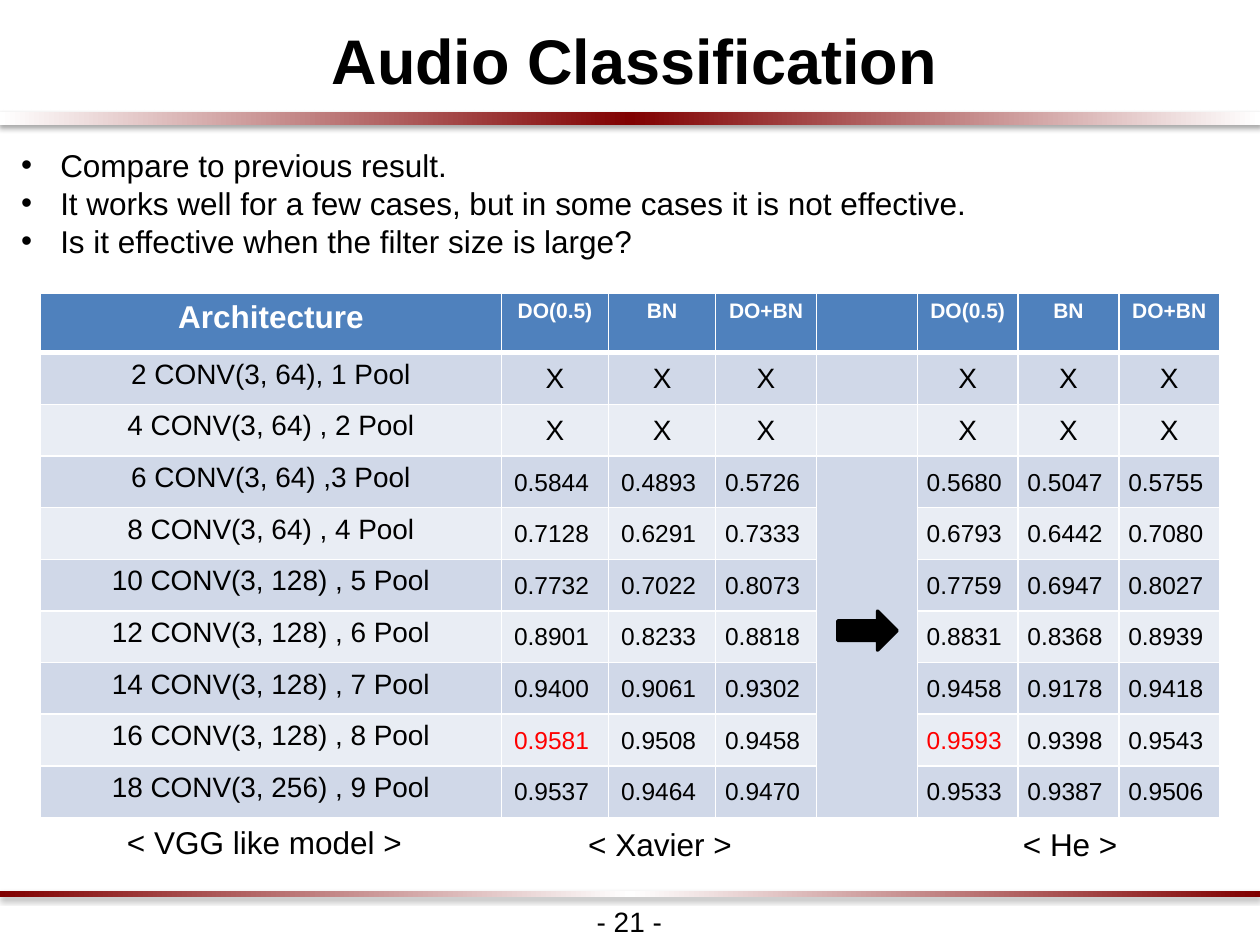
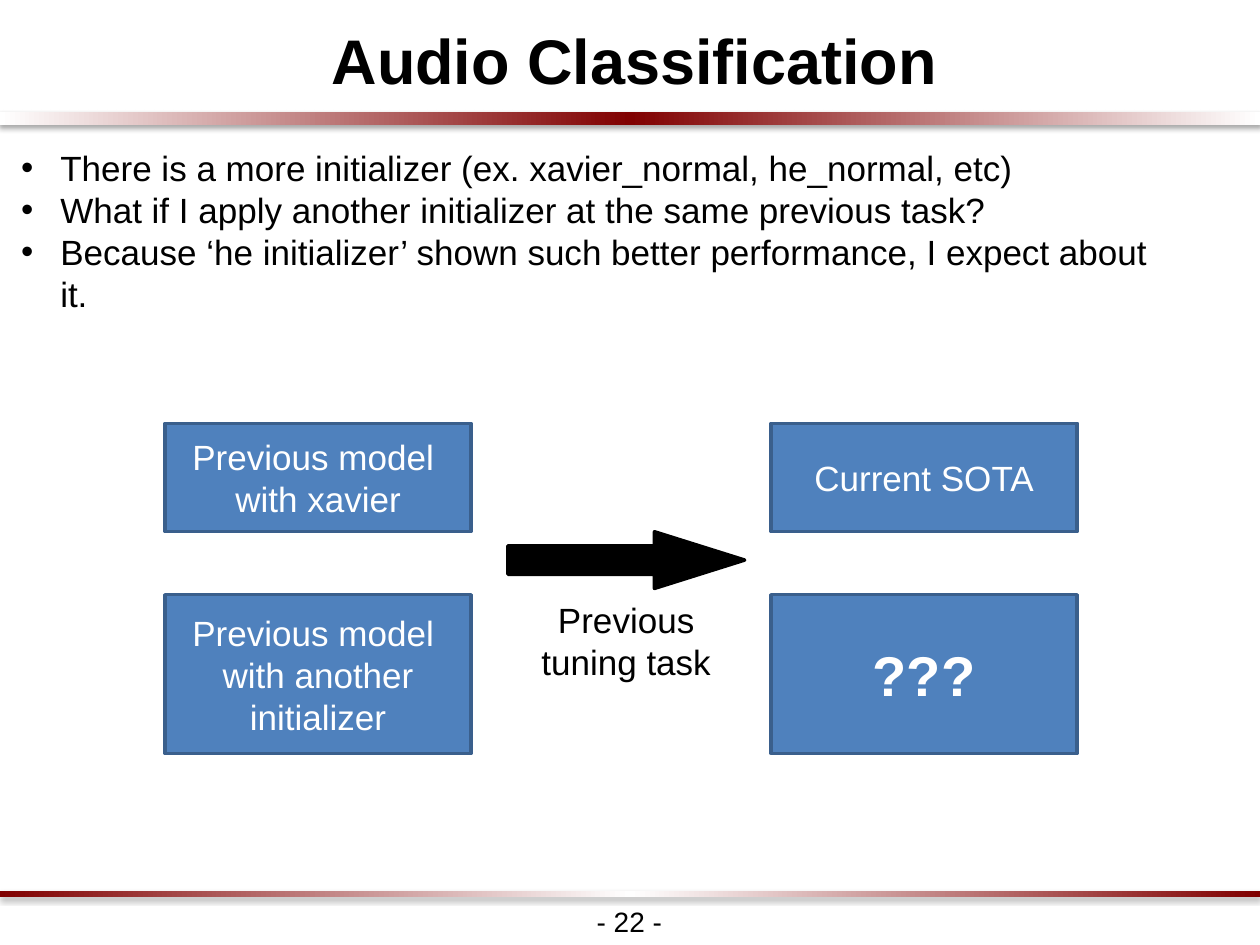
from copy import deepcopy
from dataclasses import dataclass
from typing import NamedTuple

from lxml.etree import SubElement
from pptx import Presentation
from pptx.dml.color import RGBColor
from pptx.enum.shapes import MSO_SHAPE as Preset
from pptx.enum.text import MSO_ANCHOR as Anchor, PP_ALIGN as Align
from pptx.oxml.ns import qn
from pptx.util import Inches, Pt


@dataclass(frozen=True)
class Theme:
    font: str = "Arial"
    black: str = "000000"
    white: str = "FFFFFF"
    maroon: str = "800000"
    blue: str = "4F81BD"
    blue_outline: str = "3A5F8C"
    row_dark: str = "D0D8E8"
    row_light: str = "E9EDF4"
    highlight: str = "FF0000"
    title: int = 36
    question: int = 32
    large: int = 20
    body: int = 18
    label: int = 16
    value: int = 14
    column_head: int = 12


THEME = Theme()


class Area(NamedTuple):
    left: float
    top: float
    width: float
    height: float

    def lengths(self) -> list:
        return [Inches(value) for value in self]


class Band(NamedTuple):
    area: Area
    edge: str
    middle: str


class Caption(NamedTuple):
    area: Area
    text: str


class Box(NamedTuple):
    area: Area
    lines: list
    size: int = THEME.large
    bold: bool = False


class Result(NamedTuple):
    architecture: str
    xavier: tuple
    he: tuple


BANDS = [
    Band(Area(0, 0.89, 10, 0.1), THEME.white, THEME.maroon),
    Band(Area(0, 7.07, 10, 0.05), THEME.maroon, THEME.white),
]
UNTESTED = ("X", "X", "X")
RESULTS = [
    Result("2 CONV(3, 64), 1 Pool", UNTESTED, UNTESTED),
    Result("4 CONV(3, 64) , 2 Pool", UNTESTED, UNTESTED),
    Result("6 CONV(3, 64) ,3 Pool", (0.5844, 0.4893, 0.5726), (0.5680, 0.5047, 0.5755)),
    Result("8 CONV(3, 64) , 4 Pool", (0.7128, 0.6291, 0.7333), (0.6793, 0.6442, 0.7080)),
    Result("10 CONV(3, 128) , 5 Pool", (0.7732, 0.7022, 0.8073), (0.7759, 0.6947, 0.8027)),
    Result("12 CONV(3, 128) , 6 Pool", (0.8901, 0.8233, 0.8818), (0.8831, 0.8368, 0.8939)),
    Result("14 CONV(3, 128) , 7 Pool", (0.9400, 0.9061, 0.9302), (0.9458, 0.9178, 0.9418)),
    Result("16 CONV(3, 128) , 8 Pool", (0.9581, 0.9508, 0.9458), (0.9593, 0.9398, 0.9543)),
    Result("18 CONV(3, 256) , 9 Pool", (0.9537, 0.9464, 0.9470), (0.9533, 0.9387, 0.9506)),
]
METHODS = ["DO(0.5)", "BN", "DO+BN"]
COLUMN_WIDTHS = [3.66, 0.85, 0.85] + [0.8] * 5
HEADER_HEIGHT, ROW_HEIGHT = 0.47, 0.41
ARROW_COLUMN, FIRST_MERGED_ROW = 4, 3
CAPTIONS = [
    Caption(Area(0.91, 6.48, 2.4, 0.4), "< VGG like model >"),
    Caption(Area(4.57, 6.5, 1.35, 0.4), "< Xavier >"),
    Caption(Area(8.02, 6.5, 0.96, 0.4), "< He >"),
]
BOX_LEFTS, BOX_WIDTH = (1.31, 6.12), 2.43
UPPER = [Area(left, 3.36, BOX_WIDTH, 0.86) for left in BOX_LEFTS]
LOWER = [Area(left, 4.72, BOX_WIDTH, 1.26) for left in BOX_LEFTS]
BOXES = [
    Box(UPPER[0], ["Previous model ", "with xavier"]),
    Box(UPPER[1], ["Current SOTA"]),
    Box(LOWER[0], ["Previous model ", "with another initializer"]),
    Box(LOWER[1], ["???"], THEME.question, True),
]


def rgb(color: str) -> RGBColor:
    return RGBColor.from_string(color)


def write_text(frame, lines: list, *, size: int, color: str = THEME.black, bold: bool = False,
               align: Align = Align.LEFT, spacing: float | None = None,
               margin: float = 0, bullet: bool = False) -> None:
    for index, line in enumerate(lines):
        paragraph = frame.add_paragraph() if index else frame.paragraphs[0]
        paragraph.alignment = align
        if spacing:
            paragraph.line_spacing = spacing
        properties = paragraph._p.get_or_add_pPr()
        if margin:
            properties.set("marL", str(Inches(margin)))
        if bullet:
            properties.set("indent", str(Inches(-margin)))
            bullet_color = SubElement(properties, qn("a:buClr"))
            SubElement(bullet_color, qn("a:srgbClr"), val=THEME.black)
            SubElement(properties, qn("a:buFont"), typeface=THEME.font)
            SubElement(properties, qn("a:buChar"), char="•")
        run = paragraph.add_run()
        run.text = line
        run.font.name = THEME.font
        run.font.size = Pt(size)
        run.font.bold = bold
        run.font.color.rgb = rgb(color)


def add_text(slide, area: Area, lines: list, *, wrap: bool = True, inset: float = 0.05,
             anchor: Anchor = Anchor.TOP, **text_format) -> None:
    frame = slide.shapes.add_textbox(*area.lengths()).text_frame
    frame.word_wrap = wrap
    frame.vertical_anchor = anchor
    frame.margin_top = frame.margin_bottom = Inches(inset)
    write_text(frame, lines, **text_format)


def add_preset(slide, preset: Preset, area: Area, fill: str, outline: str):
    shape = slide.shapes.add_shape(preset, *area.lengths())
    shape.shadow.inherit = False
    shape.fill.solid()
    shape.fill.fore_color.rgb = rgb(fill)
    shape.line.color.rgb = rgb(outline)
    shape.line.width = Pt(2)
    return shape


def add_arrow(slide, area: Area):
    return add_preset(slide, Preset.RIGHT_ARROW, area, THEME.black, THEME.black)


def add_box(slide, box: Box) -> None:
    shape = add_preset(slide, Preset.RECTANGLE, box.area, THEME.blue, THEME.blue_outline)
    frame = shape.text_frame
    frame.word_wrap = True
    frame.vertical_anchor = Anchor.MIDDLE
    write_text(frame, box.lines, size=box.size, bold=box.bold, color=THEME.white, align=Align.CENTER)


def add_band(slide, band: Band) -> None:
    shape = slide.shapes.add_shape(Preset.RECTANGLE, *band.area.lengths())
    shape.line.fill.background()
    shape.shadow.inherit = False
    shape.fill.gradient()
    shape.fill.gradient_angle = 0
    properties = shape._element.spPr
    stops = properties.find(".//" + qn("a:gsLst"))
    stops.append(deepcopy(stops[0]))
    colors = (band.edge, band.middle, band.edge)
    for stop, position, color in zip(shape.fill.gradient_stops, (0, 0.5, 1), colors):
        stop.position = position
        stop.color.rgb = rgb(color)
    shadow = SubElement(properties.find(qn("a:effectLst")), qn("a:outerShdw"),
                        blurRad=str(Pt(3.1)), dist=str(Pt(1.8)), dir="5400000", rotWithShape="0")
    shadow_color = SubElement(shadow, qn("a:srgbClr"), val=THEME.black)
    SubElement(shadow_color, qn("a:alpha"), val="35000")


def add_base_slide(presentation, number: int, bullets: list, size: int, height: float):
    slide = presentation.slides.add_slide(presentation.slide_layouts[6])
    for band in BANDS:
        add_band(slide, band)
    add_text(slide, Area(-0.23, 0.03, 10.45, 0.79), ["Audio Classification"], inset=0.1,
             anchor=Anchor.MIDDLE, size=THEME.title, bold=True, align=Align.CENTER,
             spacing=1.15, margin=0.08)
    add_text(slide, Area(0.07, 1.11, 9.42, height), bullets, size=size, margin=0.31, bullet=True)
    add_text(slide, Area(3.83, 7.13, 2.33, 0.37), [f"- {number} -"], size=THEME.label,
             align=Align.CENTER)
    return slide


def style_cell(cell, fill: str, top: int, bottom: int) -> None:
    properties = cell._tc.get_or_add_tcPr()
    for side, width in (("L", 1), ("R", 1), ("T", top), ("B", bottom)):
        border = SubElement(properties, qn(f"a:ln{side}"), w=str(Pt(width)))
        border_fill = SubElement(border, qn("a:solidFill"))
        SubElement(border_fill, qn("a:srgbClr"), val=THEME.white)
    cell.fill.solid()
    cell.fill.fore_color.rgb = rgb(fill)


def write_result(cell, value: float | str, best: bool) -> None:
    cell.vertical_anchor = Anchor.MIDDLE
    cell.margin_left = cell.margin_right = cell.margin_top = Inches(0.01)
    cell.margin_bottom = 0
    measured = isinstance(value, float)
    write_text(cell.text_frame, [f"{value:.4f} " if measured else value],
               size=THEME.value if measured else THEME.label,
               color=THEME.highlight if best else THEME.black, align=Align.CENTER)


def add_results_table(slide) -> None:
    area = Area(0.32, 2.33, sum(COLUMN_WIDTHS), HEADER_HEIGHT + ROW_HEIGHT * len(RESULTS))
    table = slide.shapes.add_table(len(RESULTS) + 1, len(COLUMN_WIDTHS), *area.lengths()).table
    for column, width in zip(table.columns, COLUMN_WIDTHS):
        column.width = Inches(width)
    for index, row in enumerate(table.rows):
        row.height = Inches(ROW_HEIGHT if index else HEADER_HEIGHT)
        stripe = THEME.row_dark if index % 2 else THEME.row_light
        for cell in row.cells:
            style_cell(cell, stripe if index else THEME.blue,
                       3 if index == 1 else 1, 1 if index else 3)

    for column, heading in enumerate(["Architecture", *METHODS, "", *METHODS]):
        if heading:
            write_text(table.cell(0, column).text_frame, [heading],
                       size=THEME.column_head if column else THEME.body,
                       color=THEME.white, bold=True, align=Align.CENTER)
    measured = [result for result in RESULTS if result.xavier != UNTESTED]
    best_xavier = max(max(result.xavier) for result in measured)
    best_he = max(max(result.he) for result in measured)
    for row, result in enumerate(RESULTS, 1):
        write_text(table.cell(row, 0).text_frame, [result.architecture],
                   size=THEME.label, align=Align.CENTER)
        for start, values, best in ((1, result.xavier, best_xavier),
                                    (ARROW_COLUMN + 1, result.he, best_he)):
            for column, value in enumerate(values, start):
                write_result(table.cell(row, column), value, value == best)
    table.cell(FIRST_MERGED_ROW, ARROW_COLUMN).merge(table.cell(len(RESULTS), ARROW_COLUMN))


def build_comparison(presentation) -> None:
    slide = add_base_slide(presentation, 21, [
        "Compare to previous result.",
        "It works well for a few cases, but in some cases it is not effective.",
        "Is it effective when the filter size is large?",
    ], THEME.body, 1.06)
    add_results_table(slide)
    for caption in CAPTIONS:
        add_text(slide, caption.area, [caption.text], wrap=False, size=THEME.body)
    add_arrow(slide, Area(6.65, 4.85, 0.47, 0.31))


def build_next_step(presentation) -> None:
    slide = add_base_slide(presentation, 22, [
        "There is a more initializer (ex. xavier_normal, he_normal, etc)",
        "What if I apply another initializer at the same previous task?",
        "Because ‘he initializer’ shown such better performance, I expect about it.",
    ], THEME.large, 2.04)
    arrow = add_arrow(slide, Area(4.03, 4.22, 1.88, 0.45))
    arrow.adjustments[1] = 1.59
    add_text(slide, Area(4.19, 4.7, 1.56, 0.77), ["Previous", "tuning task"], wrap=False,
             size=THEME.large, align=Align.CENTER)
    for box in BOXES:
        add_box(slide, box)


def main() -> None:
    presentation = Presentation()
    presentation.slide_width = Inches(10)
    presentation.slide_height = Inches(7.5)
    build_comparison(presentation)
    build_next_step(presentation)
    presentation.save("out.pptx")


if __name__ == "__main__":
    main()
